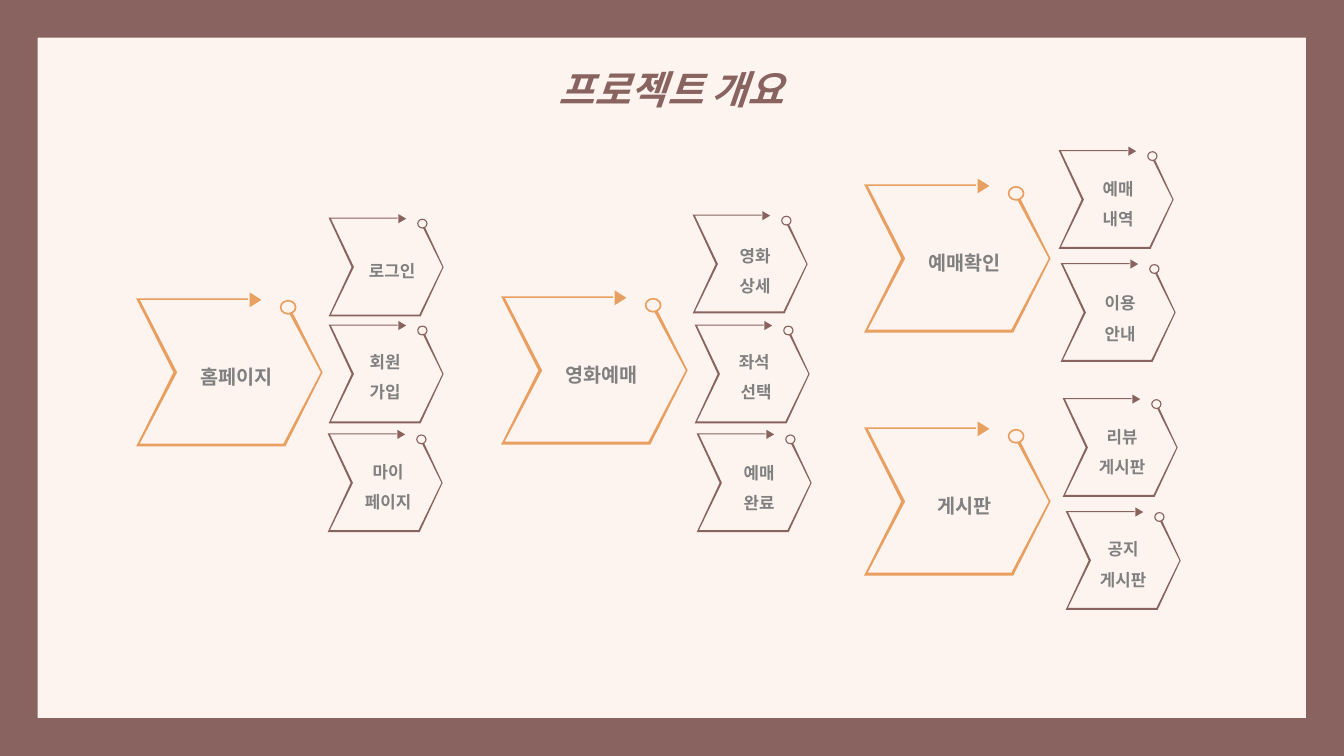
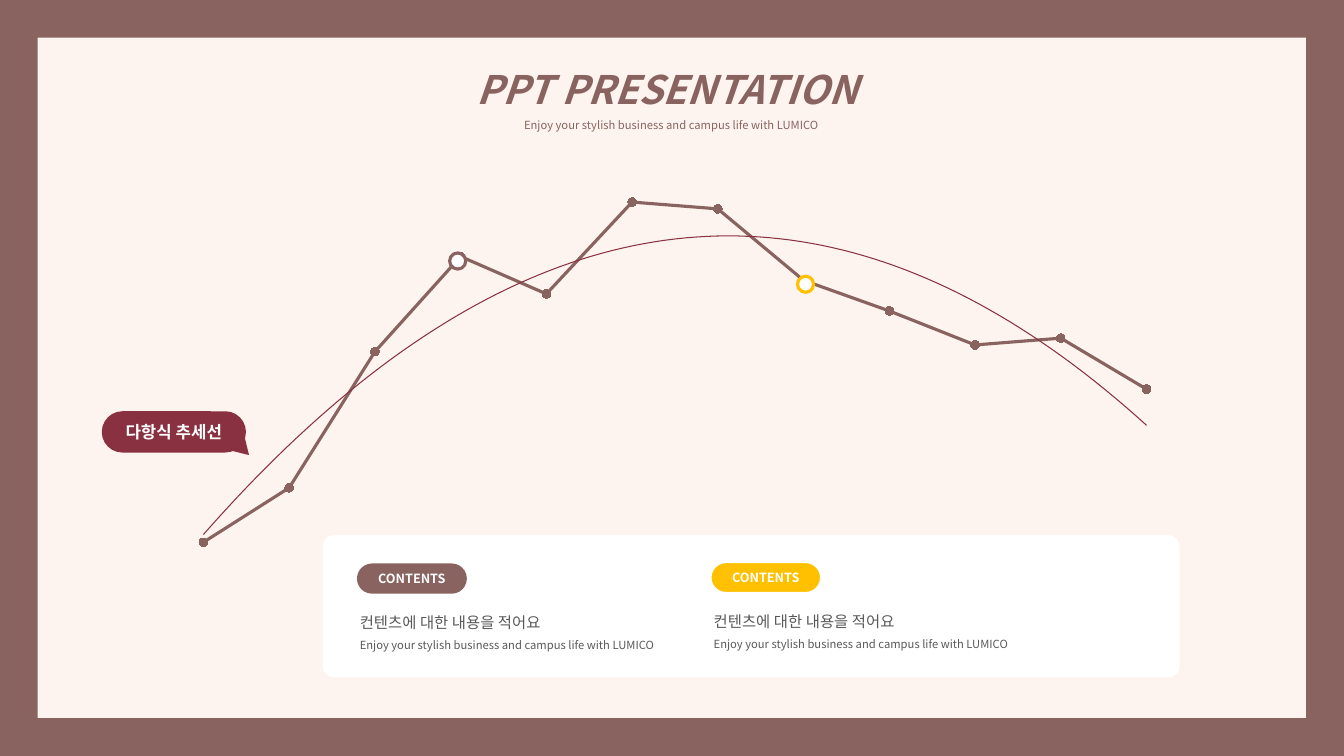
"""Build a framed two-slide deck: a site map of arrow badges and a trend chart."""
from dataclasses import dataclass

from lxml.etree import SubElement
from pptx import Presentation
from pptx.chart.data import CategoryChartData
from pptx.dml.color import RGBColor
from pptx.enum.chart import XL_CHART_TYPE as ChartType, XL_MARKER_STYLE as Marker
from pptx.enum.shapes import MSO_SHAPE as Preset
from pptx.enum.text import MSO_ANCHOR as Anchor, MSO_AUTO_SIZE as AutoSize, PP_ALIGN as Align
from pptx.oxml import parse_xml
from pptx.oxml.ns import nsdecls, qn
from pptx.util import Inches, Pt


@dataclass(frozen=True)
class Theme:
    """Colours, font and type sizes."""
    font: str = "Noto Sans CJK KR"
    paper: str = "FDF4EF"
    brown: str = "896360"
    orange: str = "E99F60"
    wine: str = "893141"
    gold: str = "FFC000"
    white: str = "FFFFFF"
    label: str = "808080"
    body: str = "595959"
    title_size: int = 28
    menu_size: int = 14
    item_size: int = 12
    lead_size: int = 11
    pill_size: int = 9
    note_size: int = 8
    spacing: float = 1.5


THEME = Theme()
WIDTH, HEIGHT = 13.33, 7.5
NOTE = "Enjoy your stylish business and campus life with LUMICO"
LEAD = "컨텐츠에 대한 내용을 적어요"

MENUS = [
    (1.35, 2.96, "홈페이지"),
    (4.97, 2.94, "영화예매"),
    (8.57, 4.24, "게시판"),
    (8.57, 1.83, "예매확인"),
]
ITEMS = [
    (3.26, 2.16, 0.63, 0.28, ["로그인"]),
    (3.26, 3.22, 0.56, 0.12, ["회원", "가입"]),
    (3.25, 4.3, 0.6, 0.13, ["마이", "페이지"]),
    (6.87, 2.13, 0.62, 0.16, ["영화", "상세"]),
    (6.89, 3.22, 0.61, 0.12, ["좌석 ", "선택"]),
    (6.91, 4.3, 0.62, 0.14, ["예매", "완료"]),
    (10.5, 1.49, 0.59, 0.13, ["예매", "내역"]),
    (10.52, 2.61, 0.59, 0.15, ["이용", "안내"]),
    (10.54, 3.95, 0.59, 0.13, ["리뷰", "게시판"]),
    (10.57, 5.07, 0.57, 0.13, ["공지", "게시판"]),
]
MENU_STYLE = dict(size=(1.85, 1.47), color=THEME.orange, points=THEME.menu_size, text_width=1.24)
ITEM_STYLE = dict(size=(1.14, 0.98), color=THEME.brown, points=THEME.item_size, text_width=0.96)
MENU_TEXT = (1, 0.49)
OUTLINE = [
    (0, 0), (0.6, 0), (0.6, 0.01), (0.02, 0.01), (0.22, 0.5), (0.02, 0.98), (0.79, 0.98),
    (0.99, 0.5), (0.82, 0.1), (0.84, 0.1), (1, 0.5), (0.8, 1), (0, 1), (0.2, 0.5),
]
HEAD = (0.6, -0.03, 0.08, 0.08)
RING = (0.77, 0.01, 0.09, 0.1)

TREND_VALUES = [0, 16, 56, 84, 73, 100, 98, 77, 68, 58, 60, 45]
HIGHLIGHTS = [(4.46, 2.51, THEME.brown), (7.91, 2.74, THEME.gold)]
CONTENTS = [(3.54, 5.59, THEME.brown, None), (7.05, 5.58, THEME.gold, THEME.white)]


def color_of(code):
    """Turn a hex code into a colour."""
    return RGBColor.from_string(code)


def set_values(target, **values):
    """Set attributes from format values."""
    for name, value in values.items():
        setattr(target, name, value)


def paint(target, fill, line=None, weight=1):
    """Give a shape its fill and line, without a shadow."""
    target.shadow.inherit = False
    target.fill.solid()
    target.fill.fore_color.rgb = color_of(fill)
    if line:
        target.line.color.rgb = color_of(line)
        target.line.width = Pt(weight)
    else:
        target.line.fill.background()


def add_preset(shapes, kind, at, fill, line=None, weight=1, adjust=None, turn=0):
    """Add a preset shape at left, top, width, height."""
    shape = shapes.add_shape(kind, *map(Inches, at))
    paint(shape, fill, line, weight)
    shape.rotation = turn
    if adjust is not None:
        shape.adjustments[0] = adjust
    return shape


def write(frame, lines, align=Align.CENTER, anchor=Anchor.TOP, spacing=THEME.spacing):
    """Fill a text frame from (text, size, colour, font format) lines."""
    set_values(frame, word_wrap=True, vertical_anchor=anchor, auto_size=AutoSize.NONE)
    for index, (text, size, color, style) in enumerate(lines):
        para = frame.paragraphs[0] if index == 0 else frame.add_paragraph()
        set_values(para, alignment=align, line_spacing=spacing)
        span = para.add_run()
        span.text = text
        set_values(span.font, name=THEME.font, size=Pt(size), **style)
        span.font.color.rgb = color_of(color)
        SubElement(span.font._element, qn("a:ea"), typeface=THEME.font)


def add_text(shapes, at, lines, align=Align.CENTER):
    """Add a text box."""
    write(shapes.add_textbox(*map(Inches, at)).text_frame, lines, align)


def add_page(deck, title, note=None):
    """Add a framed slide with its title."""
    page = deck.slides.add_slide(deck.slide_layouts[5])
    add_preset(page.shapes, Preset.FRAME, (0, 0, WIDTH, HEIGHT), THEME.brown, adjust=0.05)
    box = page.shapes.title
    set_values(box, left=Inches(3.74), top=Inches(0.36), width=Inches(5.84),
               height=Inches(1.04 if note else 0.72))
    lines = [(title, THEME.title_size, THEME.brown, dict(bold=True, italic=True))]
    if note:
        lines.append((note, THEME.note_size, THEME.brown, dict(bold=False, italic=False)))
    write(box.text_frame, lines)
    return page


def add_badge(page, left, top, text_at, texts, size, color, points, text_width):
    """Add an arrow badge as a group scaled to its size."""
    width, height = size
    shapes = page.shapes.add_group_shape().shapes
    corners = [(Inches(left + x * width), Inches(top + y * height)) for x, y in OUTLINE]
    builder = shapes.build_freeform(*corners[0])
    builder.add_line_segments(corners[1:], close=True)
    paint(builder.convert_to_shape(), color)
    for kind, part, adjust, turn in ((Preset.ISOSCELES_TRIANGLE, HEAD, None, 90),
                                     (Preset.DONUT, RING, 0.117, 0)):
        x, y, w, h = part
        at = (left + x * width, top + y * height, w * width, h * height)
        add_preset(shapes, kind, at, color, adjust=adjust, turn=turn)
    center, drop = text_at
    add_text(shapes, (left + center - text_width / 2, top + drop, text_width, height - drop),
             [(text, points, THEME.label, dict(bold=True)) for text in texts])


def add_pill(shapes, at, text, size, fill, line=None):
    """Add a rounded label."""
    pill = add_preset(shapes, Preset.ROUNDED_RECTANGLE, at, fill, line, adjust=0.5)
    write(pill.text_frame, [(text, size, THEME.white, dict(bold=True))],
          anchor=Anchor.MIDDLE, spacing=1)


def add_trend_chart(page):
    """Add the line chart with a polynomial trend line."""
    data = CategoryChartData()
    data.categories = [str(month + 1) for month in range(len(TREND_VALUES))]
    data.add_series("Series 1", TREND_VALUES)
    chart = page.shapes.add_chart(ChartType.LINE_MARKERS, *map(Inches, (1.38, 1.51, 10.63, 3.95)),
                                  data).chart
    set_values(chart, has_legend=False, has_title=False)
    set_values(chart.font, name=THEME.font, size=Pt(10))
    set_values(chart.value_axis, minimum_scale=0, maximum_scale=110,
               has_major_gridlines=False, visible=False)
    chart.category_axis.visible = False
    plot = chart.plots[0]
    plot.vary_by_categories = False
    series = plot.series[0]
    series.smooth = False
    series.format.line.width = Pt(2.25)
    series.format.line.color.rgb = color_of(THEME.brown)
    set_values(series.marker, style=Marker.CIRCLE, size=6)
    dot = series.marker.format
    dot.fill.solid()
    dot.fill.fore_color.rgb = color_of(THEME.brown)
    dot.line.color.rgb = color_of(THEME.brown)

    names = nsdecls("c", "a")
    series._element.find(qn("c:cat")).addprevious(parse_xml(
        f'<c:trendline {names}><c:spPr><a:ln w="{Pt(0.75)}"><a:solidFill>'
        f'<a:srgbClr val="{THEME.wine}"/></a:solidFill></a:ln></c:spPr>'
        '<c:trendlineType val="poly"/><c:order val="2"/>'
        '<c:dispRSqr val="0"/><c:dispEq val="0"/></c:trendline>'))
    area = chart._chartSpace.find(".//" + qn("c:plotArea"))
    for old in area.findall(qn("c:layout")):
        area.remove(old)
    places = "".join(f'<c:{name} val="{value}"/>' for name, value in
                     (("x", 0.02), ("y", 0.04), ("w", 0.96), ("h", 0.94)))
    area.insert(0, parse_xml(
        f'<c:layout {names}><c:manualLayout><c:layoutTarget val="inner"/>'
        f'<c:xMode val="edge"/><c:yMode val="edge"/>{places}</c:manualLayout></c:layout>'))
    clear = f"<c:spPr {names}><a:noFill/><a:ln><a:noFill/></a:ln></c:spPr>"
    area.append(parse_xml(clear))
    chart._chartSpace.find(qn("c:txPr")).addprevious(parse_xml(clear))


def build_overview(deck):
    """Build the site map slide."""
    page = add_page(deck, "프로젝트 개요")
    for left, top, text in MENUS:
        add_badge(page, left, top, MENU_TEXT, [text], **MENU_STYLE)
    for left, top, center, drop, texts in ITEMS:
        add_badge(page, left, top, (center, drop), texts, **ITEM_STYLE)


def build_trend(deck):
    """Build the trend chart slide."""
    page = add_page(deck, "PPT PRESENTATION ", NOTE)
    shapes = page.shapes
    add_trend_chart(page)
    for left, top, color in HIGHLIGHTS:
        add_preset(shapes, Preset.OVAL, (left, top, 0.16, 0.16), THEME.white, color, 2.25)
    add_preset(shapes, Preset.ROUNDED_RECTANGLE, (3.2, 5.31, 8.5, 1.41), THEME.white, adjust=0.08)
    for left, top, fill, line in CONTENTS:
        add_text(shapes, (left - 0.07, top + 0.35, 3.24, 0.58),
                 [(LEAD, THEME.lead_size, THEME.body, {}),
                  (NOTE, THEME.note_size, THEME.body, {})], Align.LEFT)
        add_pill(shapes, (left, top, 1.09, 0.3), "CONTENTS", THEME.pill_size, fill, line)
    callout = shapes.add_group_shape().shapes
    add_preset(callout, Preset.ISOSCELES_TRIANGLE, (2.24, 4.31, 0.29, 0.24), THEME.wine, turn=135)
    add_pill(callout, (1.01, 4.08, 1.43, 0.41), "다항식 추세선", THEME.item_size, THEME.wine)


def main():
    """Build and save the deck."""
    deck = Presentation()
    set_values(deck, slide_width=Inches(WIDTH), slide_height=Inches(HEIGHT))
    backdrop = deck.slide_master.background.fill
    backdrop.solid()
    backdrop.fore_color.rgb = color_of(THEME.paper)
    build_overview(deck)
    build_trend(deck)
    deck.save("out.pptx")


if __name__ == "__main__":
    main()
